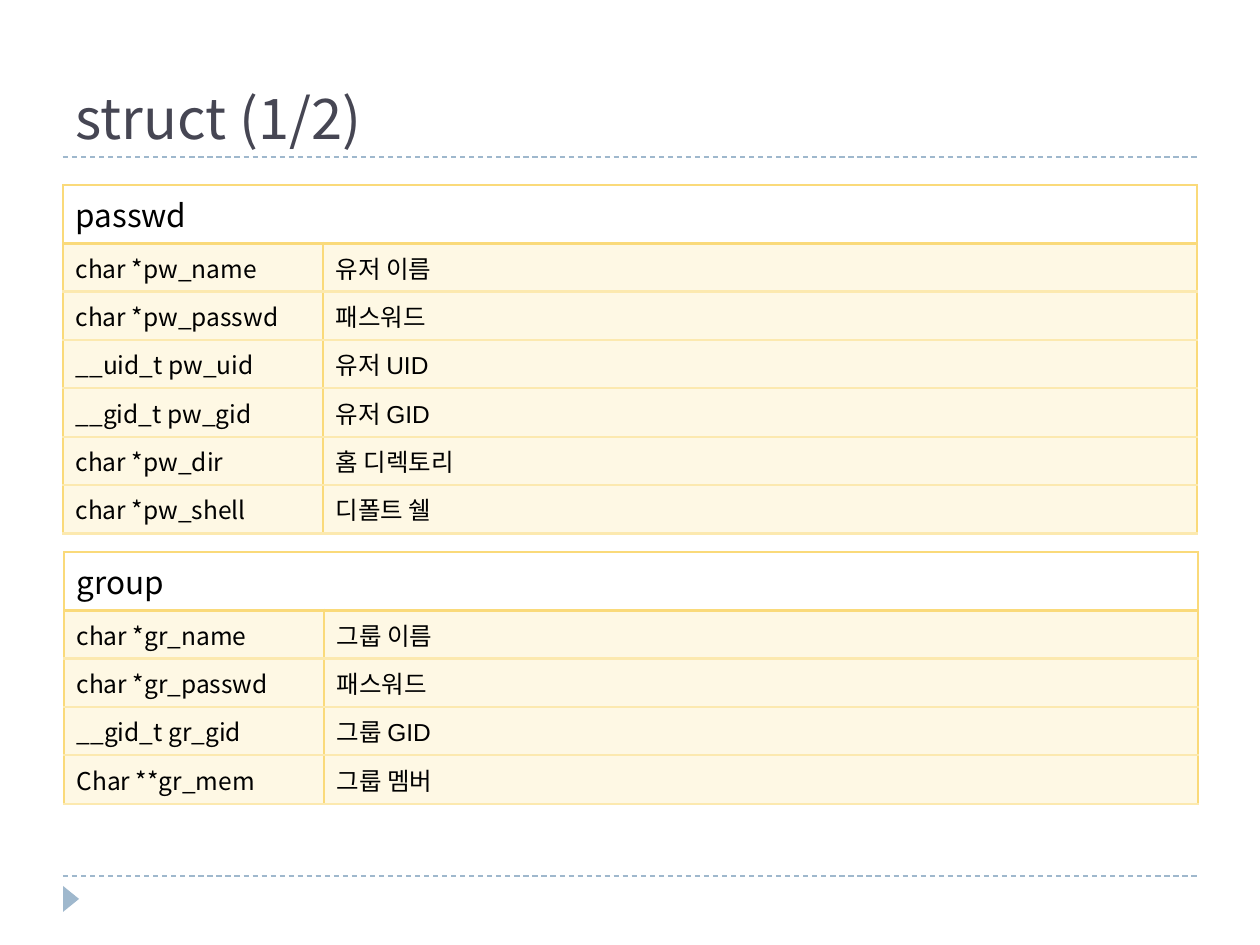
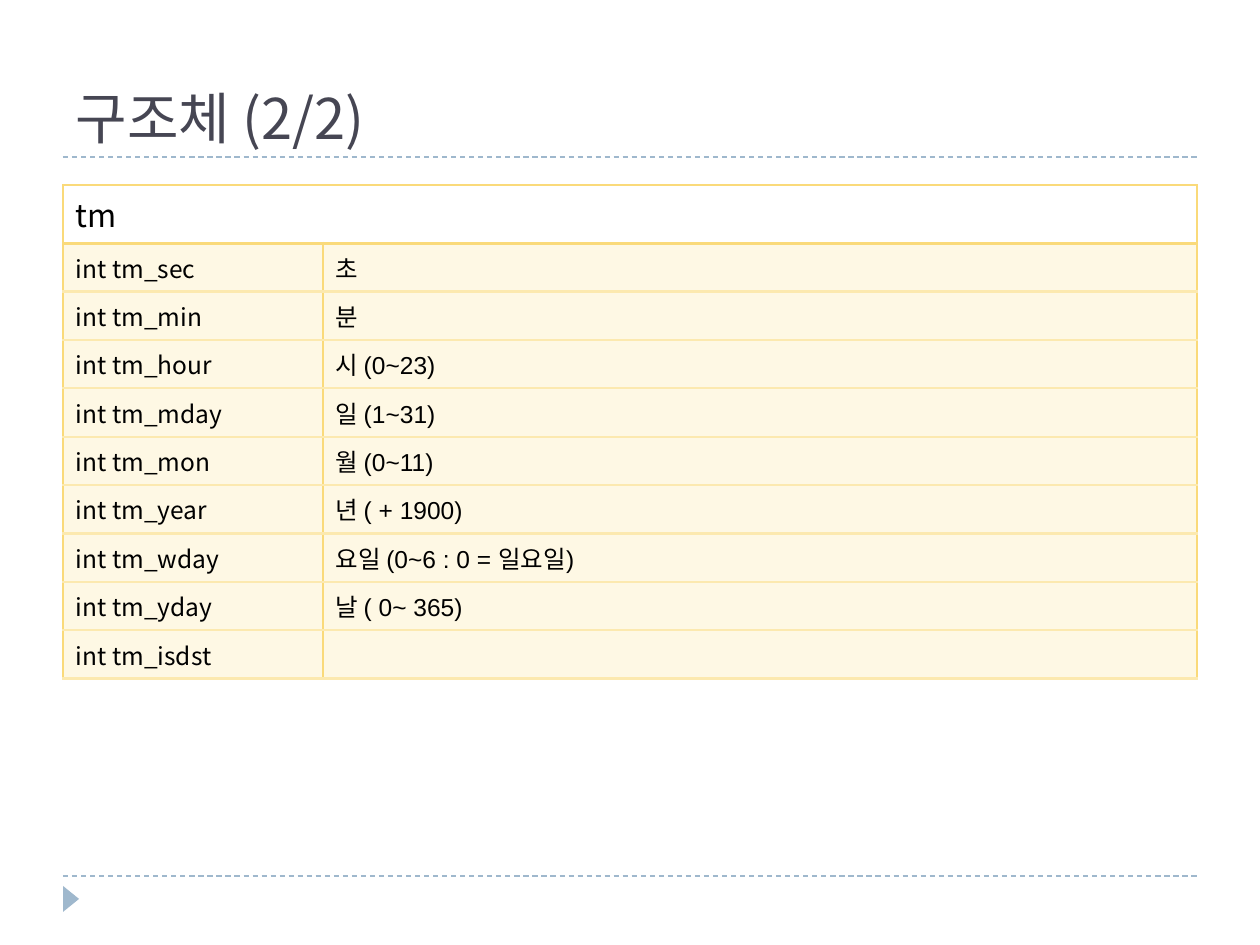
from lxml import etree
from pptx import Presentation
from pptx import util as u
from pptx.dml.color import RGBColor
from pptx.enum import dml, shapes, text
from pptx.oxml import ns

PX = u.Inches(1) // 126

SLATE = RGBColor(0x46, 0x46, 0x53)
MIST = RGBColor(0x9F, 0xB8, 0xCD)
GOLD = RGBColor(0xFA, 0xDA, 0x7A)
PALE_GOLD = RGBColor(0xFC, 0xE9, 0xAF)
CREAM = RGBColor(0xFE, 0xF8, 0xE4)
BLACK = RGBColor(0, 0, 0)

SANS = "Noto Sans CJK KR"
LATIN = "Arial"

LEFT, WIDTH = 63, 1134
TITLE_TOP, TITLE_HEIGHT = 21, 136
FOOTER_RULE = 876
FIELD_WIDTH = 260
ROW_HEIGHT = 48

PASSWD = [
    ("char *pw_name", "유저 이름"),
    ("char *pw_passwd", "패스워드"),
    ("__uid_t pw_uid", "유저 UID"),
    ("__gid_t pw_gid", "유저 GID"),
    ("char *pw_dir", "홈 디렉토리"),
    ("char *pw_shell", "디폴트 쉘"),
]
GROUP = [
    ("char *gr_name", "그룹 이름"),
    ("char *gr_passwd", "패스워드"),
    ("__gid_t gr_gid", "그룹 GID"),
    ("Char **gr_mem", "그룹 멤버"),
]
TM = [
    ("int tm_sec", "초"),
    ("int tm_min", "분"),
    ("int tm_hour", "시 (0~23)"),
    ("int tm_mday", "일 (1~31)"),
    ("int tm_mon", "월 (0~11)"),
    ("int tm_year", "년 ( + 1900)"),
    ("int tm_wday", "요일 (0~6 : 0 = 일요일)"),
    ("int tm_yday", "날 ( 0~ 365)"),
    ("int tm_isdst", ""),
]


def px(*lengths):
    return [u.Emu(length * PX) for length in lengths]


class Deck:
    def __init__(self):
        self.prs = Presentation()
        self.prs.slide_width, self.prs.slide_height = px(1260, 945)
        self.slide = None

    def new_slide(self, title):
        """Start a slide with its title, two dashed rules and corner marker."""
        self.slide = self.prs.slides.add_slide(self.prs.slide_layouts[5])
        self.title(title)
        self.rule(FOOTER_RULE)
        self.rule(TITLE_TOP + TITLE_HEIGHT)
        self.marker()

    def style(self, paragraph, size, color, latin=SANS):
        font = paragraph.font
        font.size, font.name, font.bold = u.Pt(size), latin, False
        font.color.rgb = color
        defaults = paragraph._p.pPr.find(ns.qn("a:defRPr"))
        etree.SubElement(defaults, ns.qn("a:ea"), typeface=SANS)

    def title(self, wording):
        heading = self.slide.shapes.title
        heading.left, heading.top, heading.width, heading.height = px(
            LEFT, TITLE_TOP, WIDTH, TITLE_HEIGHT)
        frame = heading.text_frame
        frame.text = wording
        frame.auto_size = text.MSO_AUTO_SIZE.NONE
        frame.vertical_anchor = text.MSO_ANCHOR.BOTTOM
        frame.paragraphs[0].alignment = text.PP_ALIGN.LEFT
        self.style(frame.paragraphs[0], 32, SLATE)

    def rule(self, y):
        rule = self.slide.shapes.add_connector(
            shapes.MSO_CONNECTOR.STRAIGHT, *px(LEFT, y, LEFT + WIDTH, y))
        rule.line.color.rgb = MIST
        rule.line.width = u.Pt(0.75)
        rule.line.dash_style = dml.MSO_LINE.DASH
        etree.SubElement(rule._element.spPr, ns.qn("a:effectLst"))

    def marker(self):
        marker = self.slide.shapes.add_shape(
            shapes.MSO_SHAPE.ISOSCELES_TRIANGLE, *px(58, 891, 26, 16))
        marker.rotation = 90
        marker.shadow.inherit = False
        marker.fill.solid()
        marker.fill.fore_color.rgb = MIST
        marker.line.fill.background()

    def borders(self, cell, top, bottom):
        """Draw gold sides, and a (colour, points) line at top and bottom."""
        side = (GOLD, 1)
        edges = {"lnL": side, "lnR": side, "lnT": top, "lnB": bottom}
        properties = cell._tc.get_or_add_tcPr()
        for position, (edge, (color, points)) in enumerate(edges.items()):
            line = etree.Element(ns.qn(f"a:{edge}"), w=str(u.Pt(points)))
            fill = etree.SubElement(line, ns.qn("a:solidFill"))
            etree.SubElement(fill, ns.qn("a:srgbClr"), val=str(color))
            properties.insert(position, line)

    def struct_table(self, name, fields, left, top):
        """List a struct's fields and their meanings under its name."""
        rows = len(fields) + 1
        table = self.slide.shapes.add_table(
            rows, 2, *px(left, top, WIDTH, rows * ROW_HEIGHT)).table
        table.first_row = table.horz_banding = False
        table.columns[0].width, table.columns[1].width = px(
            FIELD_WIDTH, WIDTH - FIELD_WIDTH)

        outline, divider, separator = (GOLD, 1), (GOLD, 2.25), (PALE_GOLD, 1.5)
        header = table.cell(0, 0)
        header.merge(table.cell(0, 1))
        header.text = name
        self.style(header.text_frame.paragraphs[0], 18, BLACK)
        for cell in table.rows[0].cells:
            cell.fill.background()
            self.borders(cell, outline, divider)

        for row, field in enumerate(fields, 1):
            above = divider if row == 1 else separator
            for column, (wording, latin) in enumerate(zip(field, (SANS, LATIN))):
                cell = table.cell(row, column)
                cell.text = wording
                self.style(cell.text_frame.paragraphs[0], 14, BLACK, latin)
                cell.fill.solid()
                cell.fill.fore_color.rgb = CREAM
                self.borders(cell, above, separator)


def main():
    deck = Deck()
    deck.new_slide("struct (1/2)")
    deck.struct_table("passwd", PASSWD, LEFT, 185)
    deck.struct_table("group", GROUP, LEFT + 1, 552)
    deck.new_slide("구조체 (2/2)")
    deck.struct_table("tm", TM, LEFT, 185)
    deck.prs.save("out.pptx")


if __name__ == "__main__":
    main()
